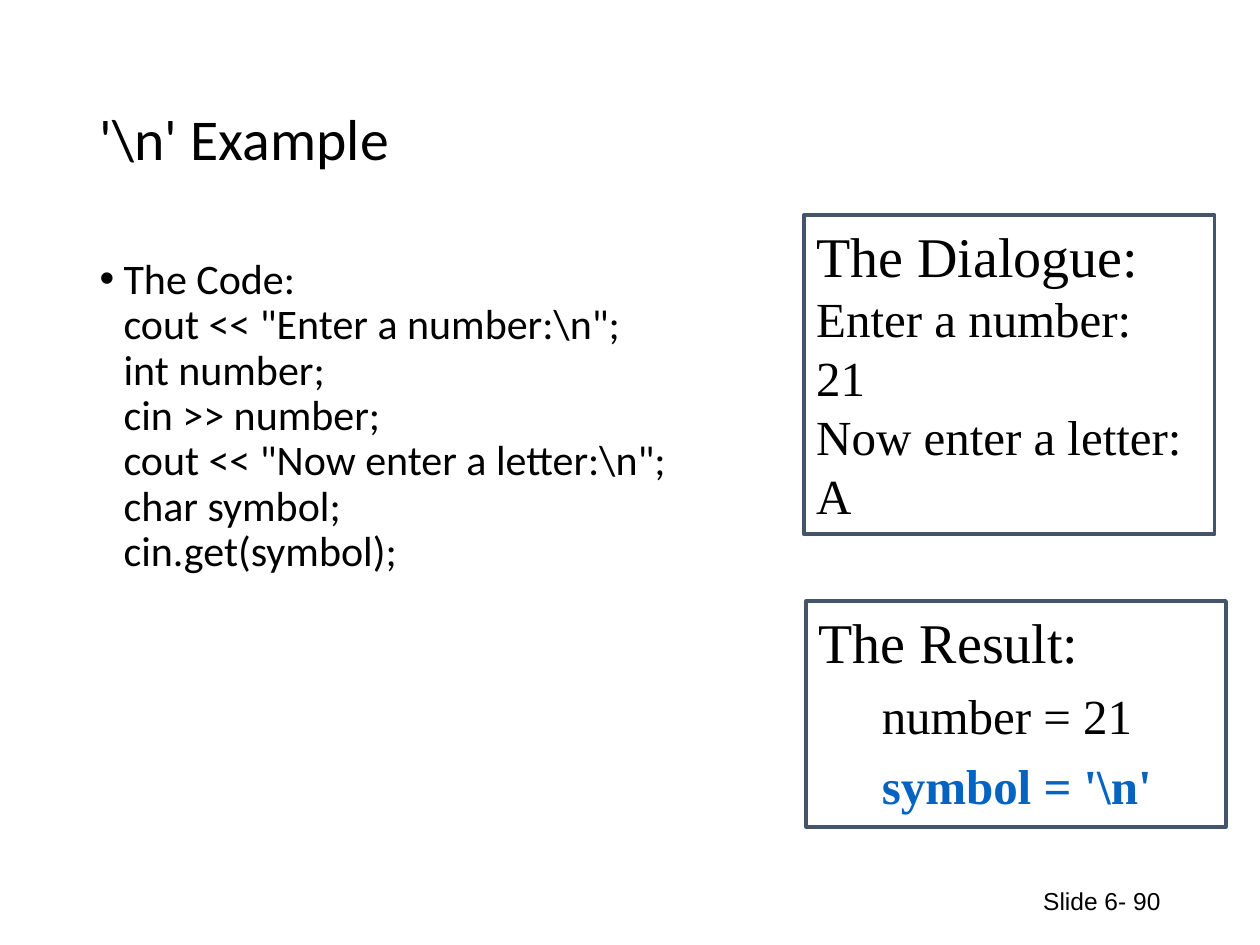
"""Build a slide showing how cin.get reads a newline character."""
import pptx
import pptx.util
import pptx.dml.color
import pptx.enum.shapes
import pptx.enum.text

Inches = pptx.util.Inches
Pt = pptx.util.Pt
ALIGN = pptx.enum.text.PP_ALIGN
ANCHOR = pptx.enum.text.MSO_ANCHOR

COLORS = {"text": "000000", "border": "44546A", "accent": "0563C1", "paper": "FFFFFF"}

TITLE = "'\\n' Example"
CODE = [
    "The Code: ",
    'cout << "Enter a number:\\n";',
    "int number;",
    "cin >> number;",
    'cout << "Now enter a letter:\\n";',
    "char symbol;",
    "cin.get(symbol);",
]
DIALOGUE = ["Enter a number:", "21", "Now enter a letter:", "A"]
FOOTER = "Slide 6- 90"

TITLE_FONT = {"name": "Calibri", "size": Pt(33)}
CODE_FONT = {"name": "Calibri", "size": Pt(24)}
HEADING_FONT = {"name": "Times New Roman", "size": Pt(32)}
DETAIL_FONT = {"name": "Times New Roman", "size": Pt(28)}
ACCENT_FONT = {**DETAIL_FONT, "bold": True}
FOOTER_FONT = {"name": "Arial", "size": Pt(14)}

BODY_FORMAT = {"alignment": ALIGN.LEFT, "line_spacing": 0.9, "space_before": Pt(7.5)}
TITLE_FORMAT = {**BODY_FORMAT, "space_before": Pt(0)}
BOX_FORMAT = {"alignment": ALIGN.LEFT, "space_before": Pt(6.4)}
FOOTER_FORMAT = {"alignment": ALIGN.RIGHT}

BOXES = [
    ((6.38, 1.71, 3.26, 2.53), [
        (0, [("The Dialogue:", HEADING_FONT, "text")]
            + [(line, DETAIL_FONT, "text") for line in DIALOGUE]),
    ]),
    ((6.4, 4.77, 3.33, 1.79), [
        (0, [("The Result:", HEADING_FONT, "text")]),
        (1, [("number = 21", DETAIL_FONT, "text")]),
        (1, [("symbol = '\\n'", ACCENT_FONT, "accent")]),
    ]),
]


def color(key):
    return pptx.dml.color.RGBColor.from_string(COLORS[key])


def apply(target, values):
    for name, value in values.items():
        setattr(target, name, value)


def place(shape, bounds):
    names = ("left", "top", "width", "height")
    apply(shape, dict(zip(names, map(Inches, bounds))))


def prepare_frame(shape, anchor):
    frame = shape.text_frame
    apply(frame, {"word_wrap": True, "vertical_anchor": anchor,
                  "auto_size": pptx.enum.text.MSO_AUTO_SIZE.NONE})
    return frame


def write_lines(paragraph, lines, paragraph_format):
    apply(paragraph, paragraph_format)
    for index, (text, font, color_key) in enumerate(lines):
        if index:
            paragraph.add_line_break()
        run = paragraph.add_run()
        run.text = text
        apply(run.font, font)
        run.font.color.rgb = color(color_key)


def set_indent(paragraph, left, first):
    properties = paragraph._p.get_or_add_pPr()
    properties.set("marL", str(Inches(left)))
    properties.set("indent", str(Inches(first)))


def add_box(slide, bounds, paragraphs):
    shape = slide.shapes.add_shape(
        pptx.enum.shapes.MSO_SHAPE.RECTANGLE, *map(Inches, bounds))
    shape.shadow.inherit = False
    shape.fill.background()
    shape.line.color.rgb = color("border")
    shape.line.width = Pt(2.25)
    frame = prepare_frame(shape, ANCHOR.TOP)
    for index, (level, lines) in enumerate(paragraphs):
        paragraph = frame.add_paragraph() if index else frame.paragraphs[0]
        paragraph.level = level
        set_indent(paragraph, 0.5 * level, 0)
        write_lines(paragraph, lines, BOX_FORMAT)


def main():
    presentation = pptx.Presentation()
    presentation.slide_width, presentation.slide_height = Inches(10), Inches(7.5)
    slide = presentation.slides.add_slide(presentation.slide_layouts[1])
    slide.background.fill.solid()
    slide.background.fill.fore_color.rgb = color("paper")

    title, body = slide.placeholders
    place(title, (0.69, 0.4, 8.62, 1.45))
    frame = prepare_frame(title, ANCHOR.MIDDLE)
    write_lines(frame.paragraphs[0], [(TITLE, TITLE_FONT, "text")], TITLE_FORMAT)

    place(body, (0.69, 2, 8.62, 3.09))
    paragraph = prepare_frame(body, ANCHOR.TOP).paragraphs[0]
    set_indent(paragraph, 0.19, -0.19)
    write_lines(paragraph, [(line, CODE_FONT, "text") for line in CODE], BODY_FORMAT)

    for bounds, paragraphs in BOXES:
        add_box(slide, bounds, paragraphs)

    footer = slide.shapes.add_textbox(*map(Inches, (7.06, 6.95, 2.25, 0.4)))
    frame = prepare_frame(footer, ANCHOR.MIDDLE)
    write_lines(frame.paragraphs[0], [(FOOTER, FOOTER_FONT, "text")], FOOTER_FORMAT)
    presentation.save("out.pptx")


if __name__ == "__main__":
    main()
